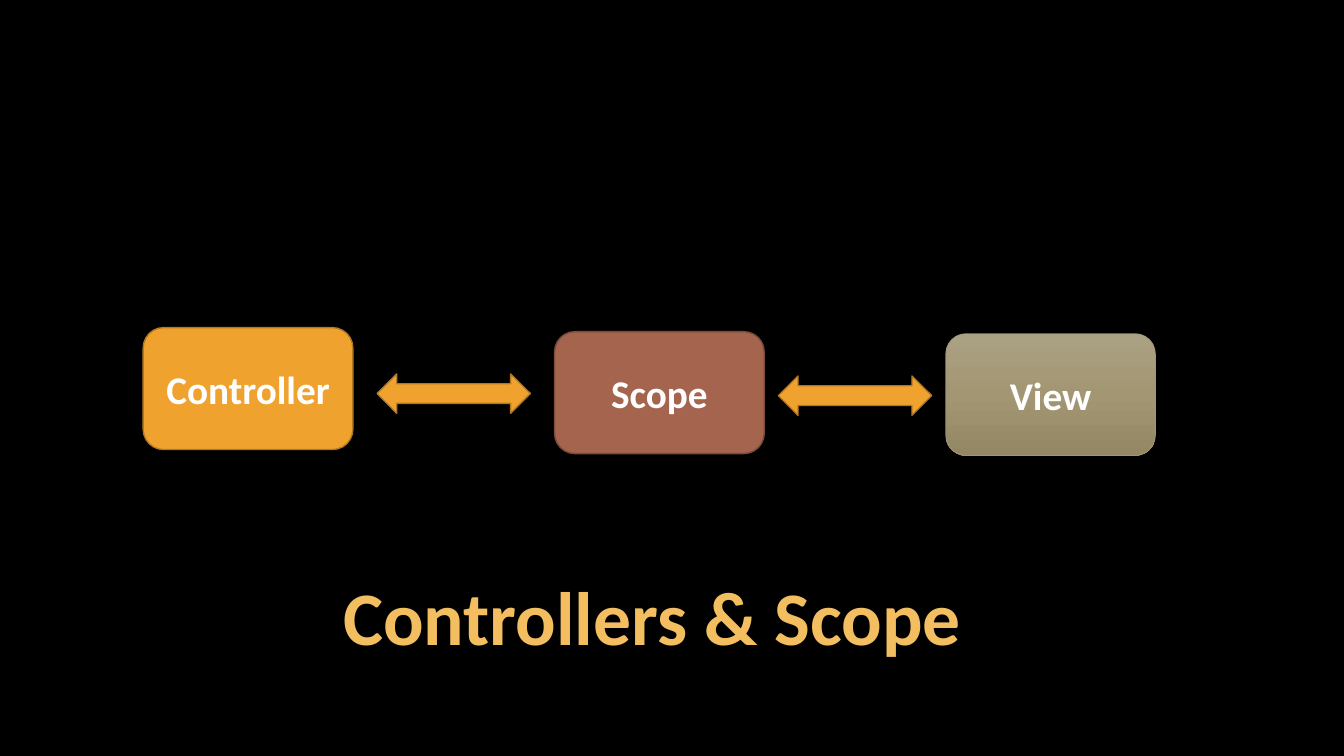
from copy import deepcopy
from dataclasses import dataclass

from pptx import Presentation, util as u
from pptx.dml.color import RGBColor
from pptx.enum import shapes, text


@dataclass
class Component:
    label: str
    left: float
    top: float
    colors: tuple[str, ...]
    border: str
    border_width: float = 1


@dataclass
class Binding:
    left: float
    top: float


AMBER, DARK_AMBER = "F0A22E", "B27822"
COMPONENTS = [
    Component("Controller", 1.42, 3.25, (AMBER,), DARK_AMBER),
    Component("Scope", 5.5, 3.29, ("A5644E",), "7A4A3A"),
    Component("View", 9.38, 3.31, ("ABA184", "A39672", "948763"), "A19574", 0.5),
]
BINDINGS = [Binding(3.74, 3.71), Binding(7.72, 3.73)]


def rgb(value: str) -> RGBColor:
    return RGBColor.from_string(value)


def fill_gradient(fill, shape, colors: tuple[str, ...]) -> None:
    fill.gradient()
    fill.gradient_angle = 270
    stop_list = shape._element.spPr.xpath("a:gradFill/a:gsLst")[0]
    for _ in colors[2:]:
        stop_list.insert(1, deepcopy(stop_list[0]))
    for index, (stop, color) in enumerate(zip(fill.gradient_stops, colors)):
        stop.position = index / (len(colors) - 1)
        stop.color.rgb = rgb(color)


def add_box(slide, kind, left: float, top: float, width: float, height: float,
            colors: tuple[str, ...], border: str, border_width: float):
    box = slide.shapes.add_shape(kind, *map(u.Inches, (left, top, width, height)))
    box.shadow.inherit = False
    if len(colors) > 1:
        fill_gradient(box.fill, box, colors)
    else:
        box.fill.solid()
        box.fill.fore_color.rgb = rgb(colors[0])
    box.line.color.rgb = rgb(border)
    box.line.width = u.Pt(border_width)
    return box


def write_text(frame, wording: str, size: int, color: str, anchor) -> None:
    frame.word_wrap = True
    frame.vertical_anchor = anchor
    paragraph = frame.paragraphs[0]
    paragraph.text = wording
    paragraph.alignment = text.PP_ALIGN.CENTER
    font = paragraph.font
    font.name, font.size, font.bold = "Calibri", u.Pt(size), True
    font.color.rgb = rgb(color)


def add_title(slide, wording: str) -> None:
    frame = slide.shapes.add_textbox(*map(u.Inches, (1.58, 5.71, 9.78, 0.9))).text_frame
    frame.margin_left = frame.margin_right = u.Inches(0.04)
    frame.margin_top = frame.margin_bottom = u.Inches(0.04)
    write_text(frame, wording, 54, "F3BE60", text.MSO_ANCHOR.BOTTOM)
    frame.paragraphs[0].line_spacing = 0.9


def add_component(slide, component: Component) -> None:
    box = add_box(slide, shapes.MSO_SHAPE.FLOWCHART_ALTERNATE_PROCESS,
                  component.left, component.top, 2.08, 1.21,
                  component.colors, component.border, component.border_width)
    write_text(box.text_frame, component.label, 28, "FFFFFF", text.MSO_ANCHOR.MIDDLE)


def add_binding(slide, binding: Binding) -> None:
    add_box(slide, shapes.MSO_SHAPE.LEFT_RIGHT_ARROW, binding.left, binding.top,
            1.52, 0.39, (AMBER,), DARK_AMBER, 1)


def main() -> None:
    deck = Presentation()
    deck.slide_width, deck.slide_height = u.Inches(13.33), u.Inches(7.5)
    slide = deck.slides.add_slide(deck.slide_layouts[6])
    slide.background.fill.solid()
    slide.background.fill.fore_color.rgb = rgb("000000")
    add_title(slide, "Controllers & Scope")
    for component in COMPONENTS:
        add_component(slide, component)
    for binding in BINDINGS:
        add_binding(slide, binding)
    deck.save("out.pptx")


if __name__ == "__main__":
    main()
